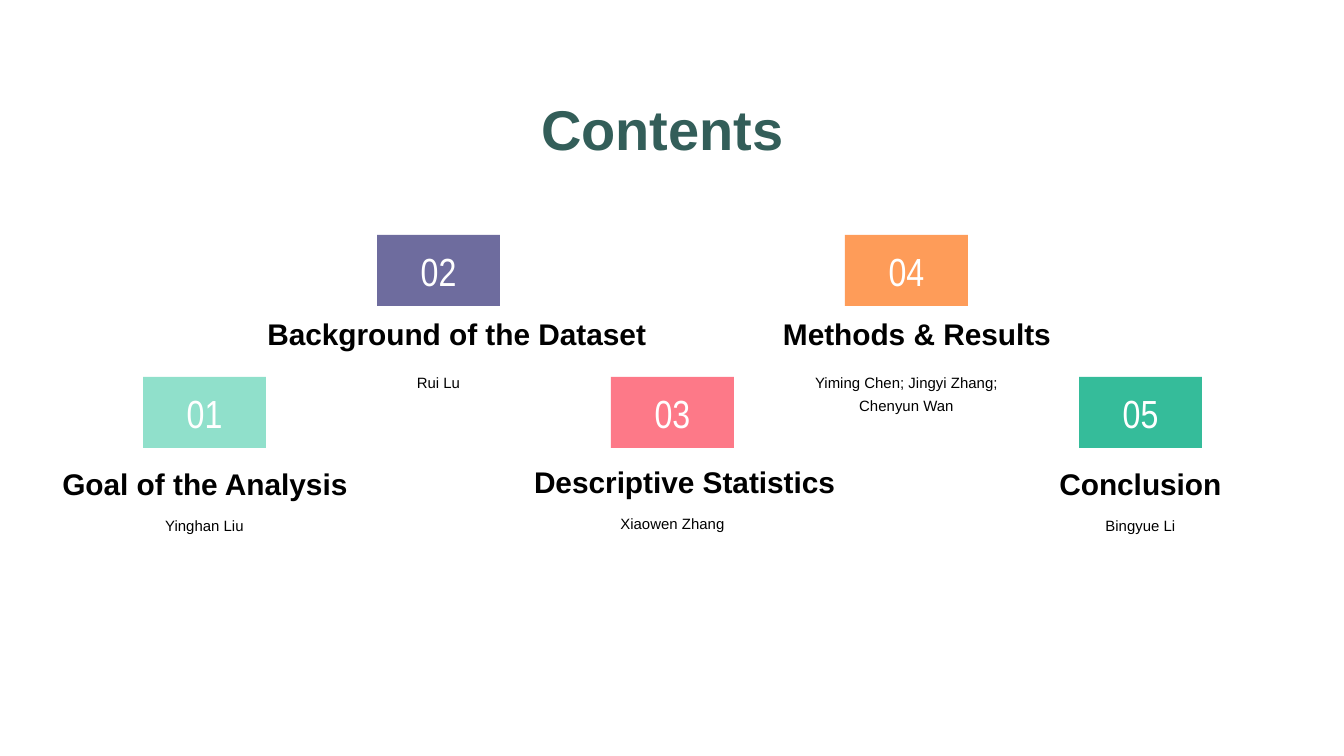
from pptx import Presentation
from pptx.dml.color import RGBColor
from pptx.enum.shapes import MSO_SHAPE
from pptx.enum.text import MSO_ANCHOR, PP_ALIGN
from pptx.util import Emu, Pt

COLORS = {
    "title": "335E59", "text": "000000", "number": "FFFFFF",
    "mint": "90E0CB", "purple": "6E6C9E", "pink": "FD7988",
    "orange": "FE9C59", "green": "35BC9A",
}


def px(*lengths):
    return [Emu(round(length * 914400 / 134.4)) for length in lengths]


def write(shape, text, size, color, font="Arial", bold=False, align=PP_ALIGN.CENTER,
          anchor=MSO_ANCHOR.TOP, spacing=1.0, top_inset=5):
    frame = shape.text_frame
    frame.word_wrap = True
    frame.vertical_anchor = anchor
    (frame.margin_left, frame.margin_top,
     frame.margin_right, frame.margin_bottom) = px(10, top_inset, 10, 5)
    paragraph = frame.paragraphs[0]
    paragraph.alignment = align
    paragraph.line_spacing = spacing
    run = paragraph.add_run()
    run.text = text
    run.font.name = font
    run.font.size = Pt(size)
    run.font.bold = bold
    run.font.color.rgb = RGBColor.from_string(COLORS[color])


presentation = Presentation()
presentation.slide_width, presentation.slide_height = px(1344, 756)
slide = presentation.slides.add_slide(presentation.slide_layouts[5])

# Title
title = slide.shapes.title
title.left, title.top, title.width, title.height = px(481, 82, 363, 152)
write(title, "Contents", 30, "title", bold=True, top_inset=12)

# Sections: heading, its left and width, heading and author offsets, author, color
sections = [
    ("Goal of the Analysis", 51, 308, 86, 129, "Yinghan Liu", "mint"),
    ("Background of the Dataset ", 250, 422, 78, 128, "Rui Lu", "purple"),
    ("Descriptive Statistics", 524, 333, 84, 127, "Xiaowen Zhang", "pink"),
    ("Methods & Results", 706, 422, 78, 128,
     "Yiming Chen; Jingyi Zhang; Chenyun Wan", "orange"),
    ("Conclusion", 1024, 233, 86, 129, "Bingyue Li", "green"),
]
for index, section in enumerate(sections):
    heading, heading_left, heading_width, heading_drop, author_drop, author, color = section
    left = 143 + 234 * index
    top = 235 if index % 2 else 377

    # Number box
    number_box = slide.shapes.add_shape(MSO_SHAPE.RECTANGLE, *px(left, top, 123, 71))
    number_box.shadow.inherit = False
    number_box.fill.solid()
    number_box.fill.fore_color.rgb = RGBColor.from_string(COLORS[color])
    number_box.line.fill.background()
    write(number_box, f"{index + 1:02}", 21, "number", font="Arial Narrow",
          anchor=MSO_ANCHOR.MIDDLE)

    # Author, centred under the box
    author_box = slide.shapes.add_textbox(*px(left - 55, top + author_drop, 233, 62))
    write(author_box, author, 8, "text", spacing=1.3)

    # Heading
    heading_box = slide.shapes.add_textbox(
        *px(heading_left, top + heading_drop, heading_width, 43))
    write(heading_box, heading, 16, "text", bold=True, anchor=MSO_ANCHOR.BOTTOM,
          align=PP_ALIGN.LEFT if index == 2 else PP_ALIGN.CENTER)

presentation.save("out.pptx")
